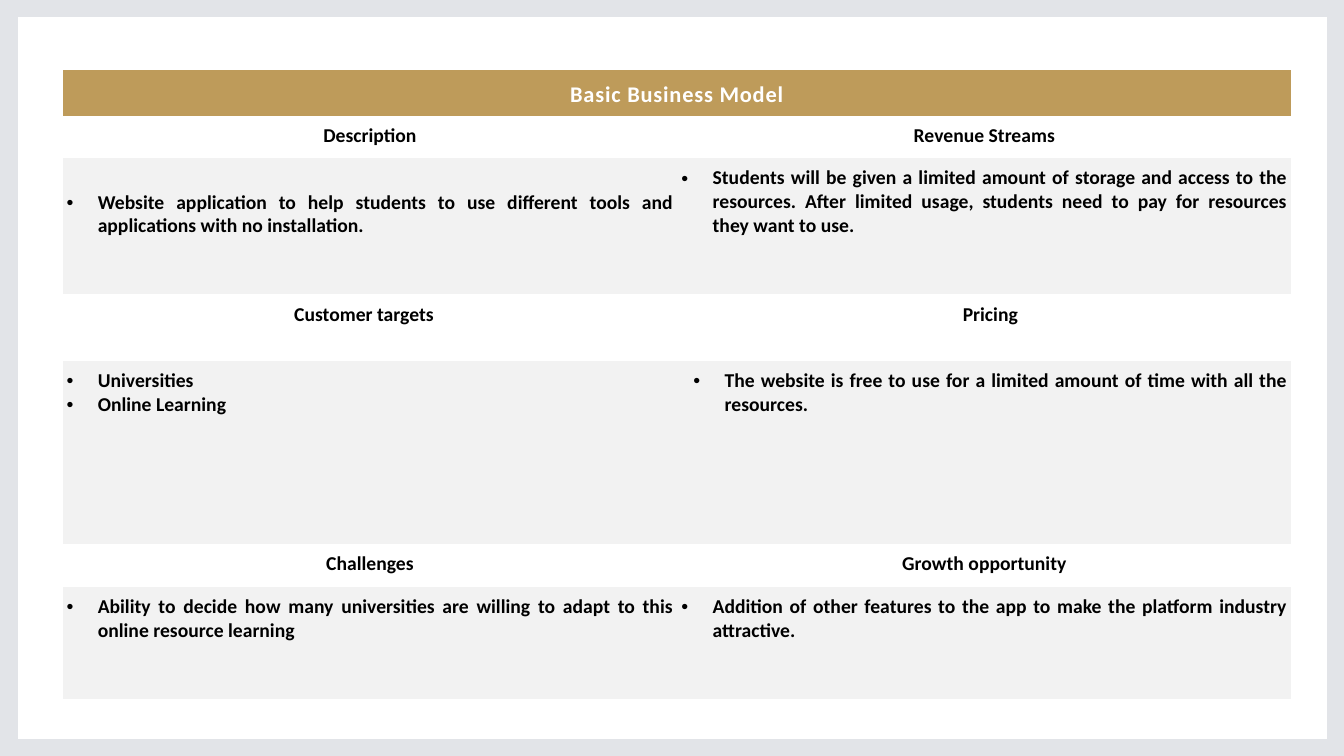
from lxml.etree import SubElement
from pptx import Presentation
from pptx.dml.color import RGBColor
from pptx.enum.shapes import MSO_SHAPE
from pptx.enum.text import MSO_ANCHOR, PP_ALIGN
from pptx.oxml.ns import qn
from pptx.util import Inches, Pt

WHITE = RGBColor(0xFF, 0xFF, 0xFF)
BLACK = RGBColor(0x00, 0x00, 0x00)
FRAME = RGBColor(0xE2, 0xE4, 0xE8)
GOLD = RGBColor(0xBE, 0x9B, 0x5A)
PALE = RGBColor(0xF2, 0xF2, 0xF2)

NO_STYLE_NO_GRID = "{2D5ABB26-0587-4C30-8999-92F81FD0307C}"
COLS = [5.98, 0.1, 0.1, 5.97]
ROWS = [0.46, 0.42, 1.35, 0.66, 1.82, 0.42, 1.12]
UNMERGED_ROWS = (3, 4)

TITLE = "Basic Business Model"
SECTIONS = [
    (("Description",
      ["Website application to help students to use different tools and "
       "applications with no installation."]),
     ("Revenue Streams",
      ["Students will be given a limited amount of storage and access to the "
       "resources. After limited usage, students need to pay for resources "
       "they want to use."])),
    (("Customer targets", ["Universities", "Online Learning"]),
     ("Pricing",
      ["The website is free to use for a limited amount of time with all the "
       "resources."])),
    (("Challenges",
      ["Ability to decide how many universities are willing to adapt to this "
       "online resource learning"]),
     ("Growth opportunity",
      ["Addition of other features to the app to make the platform industry "
       "attractive."])),
]


class SlideBuilder:
    font = "Calibri"
    size = 14

    def __init__(self, prs):
        self.s = prs.slides.add_slide(prs.slide_layouts[6])

    def background(self, color):
        fill = self.s.background.fill
        fill.solid()
        fill.fore_color.rgb = color

    def rect(self, x, y, w, h, color):
        sp = self.s.shapes.add_shape(
            MSO_SHAPE.RECTANGLE, Inches(x), Inches(y), Inches(w), Inches(h))
        sp.shadow.inherit = False
        sp.fill.solid()
        sp.fill.fore_color.rgb = color
        sp.line.fill.background()

    def table(self, x, y, cols, rows):
        frame = self.s.shapes.add_table(
            len(rows), len(cols), Inches(x), Inches(y),
            Inches(sum(cols)), Inches(sum(rows)))
        tbl = frame.table
        tbl.first_row = tbl.horz_banding = False
        tbl._tbl.tblPr.find(qn("a:tableStyleId")).text = NO_STYLE_NO_GRID
        for col, width in zip(tbl.columns, cols):
            col.width = Inches(width)
        for row, height in zip(tbl.rows, rows):
            row.height = Inches(height)
        for cell in tbl.iter_cells():
            cell.margin_left = cell.margin_right = Inches(0.04)
            cell.margin_top = Inches(0.08)
            cell.margin_bottom = Inches(0.04)
        return tbl

    def fill_row(self, tbl, row, color):
        for cell in tbl.rows[row].cells:
            cell.fill.solid()
            cell.fill.fore_color.rgb = color

    def text(self, cell, lines, align, size=None, color=BLACK):
        tf = cell.text_frame
        tf.text = "\n".join(lines)
        for p in tf.paragraphs:
            p.alignment = align
            for r in p.runs:
                r.font.name = self.font
                r.font.size = Pt(size or self.size)
                r.font.bold = True
                r.font.color.rgb = color

    def title(self, cell, text):
        self.text(cell, [text], PP_ALIGN.CENTER, 16, WHITE)
        cell.vertical_anchor = MSO_ANCHOR.MIDDLE
        r = cell.text_frame.paragraphs[0].runs[0]
        r.font._element.set("spc", "60")

    def bullets(self, cell, lines):
        self.text(cell, lines, PP_ALIGN.JUSTIFY)
        for p in cell.text_frame.paragraphs:
            pPr = p._p.get_or_add_pPr()
            pPr.set("marL", str(Inches(0.31)))
            pPr.set("indent", str(Inches(-0.31)))
            SubElement(pPr, qn("a:buFont"), typeface="Arial")
            SubElement(pPr, qn("a:buChar"), char="•")


def main():
    prs = Presentation()
    prs.slide_width = Inches(13.33)
    prs.slide_height = Inches(7.5)
    b = SlideBuilder(prs)
    b.background(WHITE)
    b.rect(0, 0, 13.33, 7.5, FRAME)
    b.rect(0.18, 0.17, 12.98, 7.16, WHITE)

    tbl = b.table(0.62, 0.69, COLS, ROWS)
    b.fill_row(tbl, 0, GOLD)
    tbl.cell(0, 0).merge(tbl.cell(0, 3))
    b.title(tbl.cell(0, 0), TITLE)

    for i, section in enumerate(SECTIONS):
        head = 1 + 2 * i
        body = head + 1
        b.fill_row(tbl, body, PALE)
        right = 3 if head in UNMERGED_ROWS else 2
        if right == 2:
            for row in (head, body):
                for col in (0, 2):
                    tbl.cell(row, col).merge(tbl.cell(row, col + 1))
        for col, (heading, points) in zip((0, right), section):
            b.text(tbl.cell(head, col), [heading], PP_ALIGN.CENTER)
            b.bullets(tbl.cell(body, col), points)

    tbl.cell(2, 0).margin_top = Inches(0.32)
    prs.save("out.pptx")


if __name__ == "__main__":
    main()
